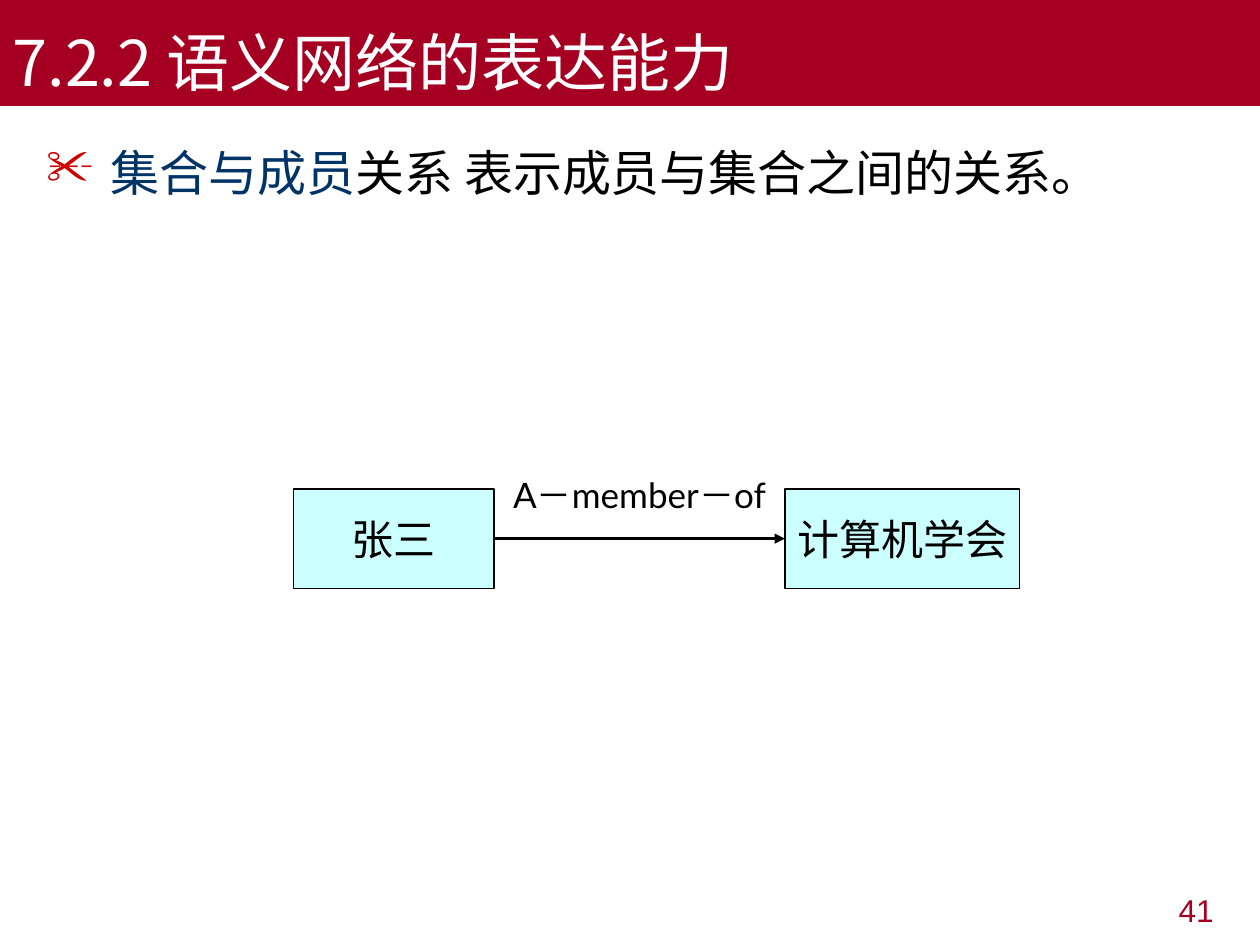
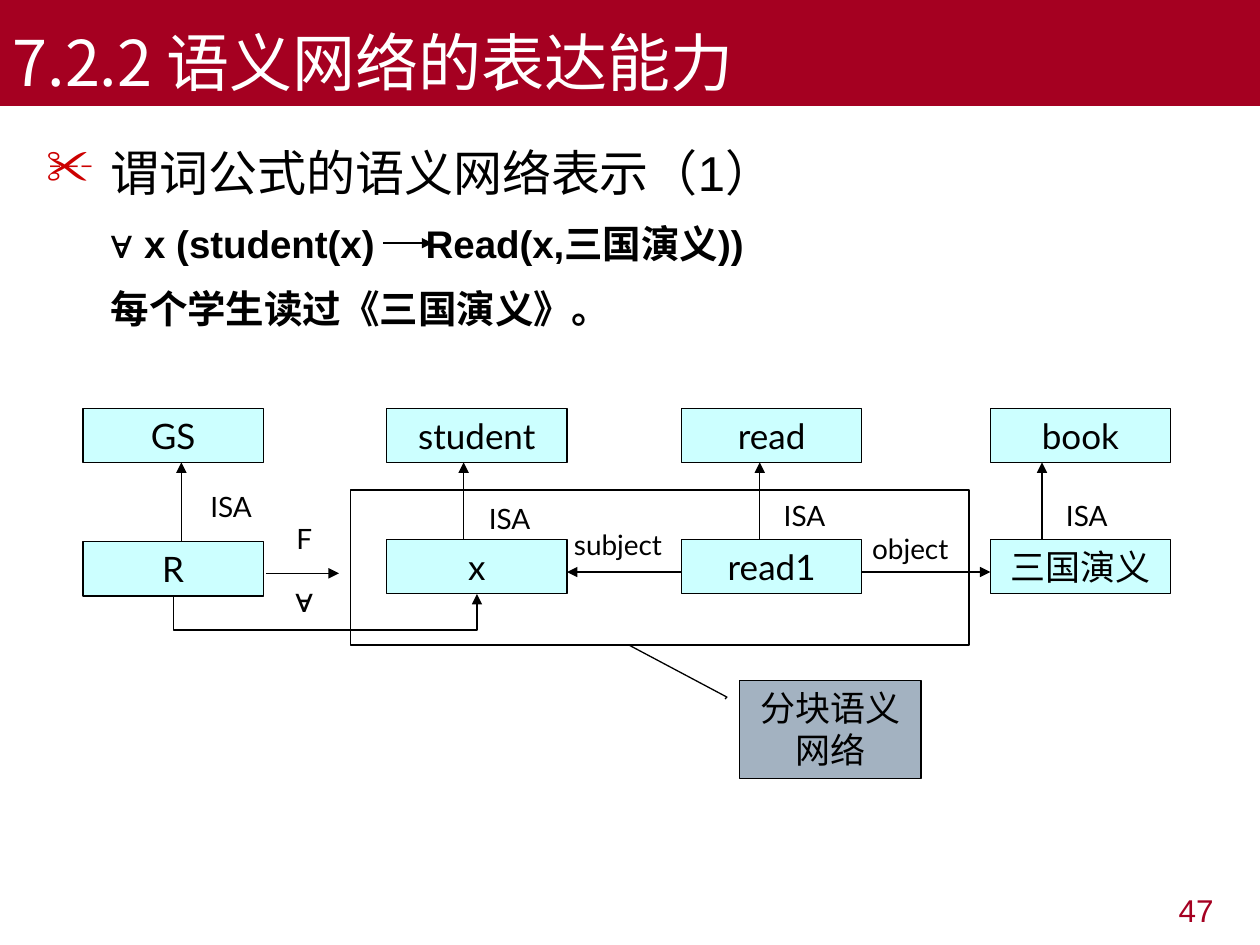
from dataclasses import dataclass

import pptx
import pptx.dml.color
import pptx.enum.shapes
import pptx.enum.text
import pptx.oxml
import pptx.oxml.ns
import pptx.util
from pptx.util import Inches

# Shared colours and fonts
CRIMSON, NAVY, BULLET_RED = "A50021", "003366", "CC0000"
BLACK, WHITE, NODE_BLUE, CALLOUT_GREY = "000000", "FFFFFF", "CCFFFF", "A3B2C1"
LATIN, NODE_FONT, CHINESE = "Arial", "Lato", "Noto Sans CJK SC"
TITLE = "7.2.2 语义网络的表达能力"
TITLE_ONLY_LAYOUT = 5
ALIGN = pptx.enum.text.PP_ALIGN
ANCHOR = pptx.enum.text.MSO_ANCHOR
PRESET = pptx.enum.shapes.MSO_SHAPE
CONNECTOR = pptx.enum.shapes.MSO_CONNECTOR


@dataclass
class Box:
    """A rectangle with centred text."""
    text: str
    left: float
    top: float
    width: float
    height: float
    size: float = 20
    fill: str = NODE_BLUE
    line: str = BLACK
    font: str = NODE_FONT
    bold: bool = False


@dataclass
class Arrow:
    """A straight line with its arrowhead at the end."""
    start: tuple[float, float]
    end: tuple[float, float]
    width: float = 0.75


@dataclass
class BodyLine:
    """A body paragraph: pieces of text with their colours."""
    pieces: list[tuple[str, str]]
    size: float = 28
    bold: bool = False
    bullet: bool = False
    space_before: float = 0
    tab: float = 0


def rgb(colour: str):
    return pptx.dml.color.RGBColor.from_string(colour)


def add_xml(parent, tag: str, **attributes: str):
    element = pptx.oxml.ns.qn(tag)
    child = parent.makeelement(element, attributes)
    parent.append(child)
    return child


def format_run(run, size: float, colour: str, font: str = LATIN, bold: bool = False) -> None:
    run.font.size = pptx.util.Pt(size)
    run.font.bold = bold
    run.font.name = font
    run.font.color.rgb = rgb(colour)
    add_xml(run.font._element, "a:ea", typeface=CHINESE)


def set_line(line, colour: str, width: float = 0.75) -> None:
    line.color.rgb = rgb(colour)
    line.width = pptx.util.Pt(width)


# Slide frame: title band and page number
def add_titled_slide(presentation, page: int):
    slide = presentation.slides.add_slide(presentation.slide_layouts[TITLE_ONLY_LAYOUT])
    title = slide.shapes.title
    title.left, title.top = Inches(0), Inches(0)
    title.width, title.height = Inches(10), Inches(0.84)
    title.fill.solid()
    title.fill.fore_color.rgb = rgb(CRIMSON)
    title.text_frame.text = TITLE
    title.text_frame.auto_size = pptx.enum.text.MSO_AUTO_SIZE.NONE
    title.text_frame.vertical_anchor = ANCHOR.BOTTOM
    paragraph = title.text_frame.paragraphs[0]
    paragraph.alignment = ALIGN.LEFT
    format_run(paragraph.runs[0], 36, WHITE, CHINESE)

    number = slide.shapes.add_textbox(Inches(7.4), Inches(7.02), Inches(2.33), Inches(0.52))
    number.text_frame.word_wrap = True
    number.text_frame.text = str(page)
    paragraph = number.text_frame.paragraphs[0]
    paragraph.alignment = ALIGN.RIGHT
    format_run(paragraph.runs[0], 18, CRIMSON)
    return slide


def add_body(slide, lines: list[BodyLine]) -> None:
    body = slide.shapes.add_textbox(Inches(0.27), Inches(0.99), Inches(9.45), Inches(5.91))
    frame = body.text_frame
    frame.word_wrap = True
    for index, line in enumerate(lines):
        paragraph = frame.add_paragraph() if index else frame.paragraphs[0]
        paragraph.line_spacing = 1.2
        paragraph.space_before = pptx.util.Pt(line.space_before)
        properties = paragraph._p.get_or_add_pPr()
        properties.set("marL", str(Inches(0.51)))
        properties.set("indent", str(Inches(-0.51) if line.bullet else 0))
        if line.bullet:
            add_xml(add_xml(properties, "a:buClr"), "a:srgbClr", val=BULLET_RED)
            add_xml(properties, "a:buChar", char="✂")
        if line.tab:
            tabs = add_xml(properties, "a:tabLst")
            add_xml(tabs, "a:tab", pos=str(Inches(line.tab)), algn="l")
        for text, colour in line.pieces:
            run = paragraph.add_run()
            run.text = text
            format_run(run, line.size, colour, bold=line.bold)


# Diagram parts
def add_box(slide, box: Box, preset=PRESET.RECTANGLE, wrap: bool = False):
    shape = slide.shapes.add_shape(
        preset, Inches(box.left), Inches(box.top), Inches(box.width), Inches(box.height))
    shape.shadow.inherit = False
    shape.fill.solid()
    shape.fill.fore_color.rgb = rgb(box.fill)
    set_line(shape.line, box.line)
    frame = shape.text_frame
    frame.word_wrap = wrap
    frame.vertical_anchor = ANCHOR.MIDDLE
    frame.text = box.text
    paragraph = frame.paragraphs[0]
    paragraph.alignment = ALIGN.CENTER
    format_run(paragraph.runs[0], box.size, BLACK, box.font, box.bold)
    return shape


def add_arrow(slide, arrow: Arrow, kind=CONNECTOR.STRAIGHT):
    connector = slide.shapes.add_connector(
        kind, *(Inches(value) for value in (*arrow.start, *arrow.end)))
    set_line(connector.line, BLACK, arrow.width)
    add_xml(connector.line._get_or_add_ln(), "a:tailEnd", type="triangle")
    add_xml(connector._element.spPr, "a:effectLst")
    return connector


def add_label(slide, text: str, left: float, top: float, width: float = 0.61,
              height: float = 0.26, size: float = 16, font: str = NODE_FONT,
              bold: bool = False) -> None:
    add_box(slide, Box(text, left, top, width, height, size, WHITE, WHITE, font, bold))


def build_membership_slide(presentation) -> None:
    slide = add_titled_slide(presentation, 41)
    add_body(slide, [BodyLine([("集合与成员", NAVY), ("关系 表示成员与集合之间的关系。", BLACK)],
                              bullet=True)])
    member = add_box(slide, Box("张三", 2.33, 3.88, 1.59, 0.79, 24))
    group = add_box(slide, Box("计算机学会", 6.23, 3.88, 1.86, 0.79, 24))
    add_label(slide, "A－member－of", 4.1, 3.68, 1.95, 0.49, 20)
    link = add_arrow(slide, Arrow((3.92, 4.27), (6.23, 4.27), 1.5))
    link.begin_connect(member, 3)
    link.end_connect(group, 1)


def build_predicate_slide(presentation) -> None:
    slide = add_titled_slide(presentation, 47)
    add_body(slide, [
        BodyLine([("谓词公式的语义网络表示（1）", BLACK)], bullet=True),
        BodyLine([("∀ x (student(x)\tRead(x,三国演义))", BLACK)], 22, True,
                 space_before=5.5, tab=3.04),
        BodyLine([("每个学生读过《三国演义》。", BLACK)], 22, True, space_before=5.5),
    ])

    # Classes above their instances
    class_top, node_width, node_height = 3.24, 1.43, 0.43
    columns = [("GS", "R", 0.66, 4.3), ("student", "x", 3.07, 4.28),
               ("read", "read1", 5.41, 4.28), ("book", "三国演义", 7.86, 4.28)]
    for class_name, instance, left, instance_top in columns:
        for text, top in ((class_name, class_top), (instance, instance_top)):
            add_box(slide, Box(text, left, top, node_width, node_height))

    # Relation labels
    for text, left, top in (("ISA", 1.53, 3.89), ("ISA", 3.74, 3.98), ("ISA", 6.08, 3.96),
                            ("ISA", 8.32, 3.96), ("F", 2.11, 4.14),
                            ("subject", 4.6, 4.19), ("object", 6.92, 4.22)):
        add_label(slide, text, left, top)
    add_label(slide, "∀", 2.11, 4.63, size=18, font=LATIN, bold=True)

    # Partition frame and its callout
    partition = slide.shapes.add_shape(
        PRESET.RECTANGLE, Inches(2.78), Inches(3.89), Inches(4.91), Inches(1.23))
    partition.shadow.inherit = False
    partition.fill.background()
    set_line(partition.line, BLACK)
    callout = add_box(slide, Box("分块语义网络", 5.87, 5.4, 1.44, 0.78, fill=CALLOUT_GREY),
                      PRESET.LINE_CALLOUT_2, wrap=True)
    callout.text_frame.vertical_anchor = ANCHOR.TOP
    for index, value in enumerate((0.19, -0.08, 0.17, -0.07, -0.36, -0.61)):
        callout.adjustments[index] = value

    # ISA arrows, relation arrows and the implication sign in the formula
    class_bottom = class_top + node_height
    for x, bottom in ((1.44, 4.3), (3.68, 4.28), (6.03, 4.28), (8.27, 4.28)):
        add_arrow(slide, Arrow((x, bottom), (x, class_bottom)))
    for arrow in (Arrow((5.41, 4.54), (4.5, 4.54)), Arrow((6.84, 4.54), (7.86, 4.54)),
                  Arrow((2.11, 4.55), (2.69, 4.55)), Arrow((3.04, 1.93), (3.43, 1.93), 1)):
        add_arrow(slide, arrow)

    # Elbow from R to x, turned a quarter so that it runs below both
    elbow = add_arrow(slide, Arrow((2.59, 5.93), (2.57, 3.52)), CONNECTOR.ELBOW)
    elbow._element.spPr.find(pptx.oxml.ns.qn("a:xfrm")).set("rot", "5400000")
    geometry = elbow._element.spPr.find(pptx.oxml.ns.qn("a:prstGeom"))
    add_xml(geometry.get_or_add_avLst(), "a:gd", name="adj1", fmla="val -1325000")


def main() -> None:
    presentation = pptx.Presentation()
    presentation.slide_width, presentation.slide_height = Inches(10), Inches(7.5)
    build_membership_slide(presentation)
    build_predicate_slide(presentation)
    presentation.save("out.pptx")


if __name__ == "__main__":
    main()
